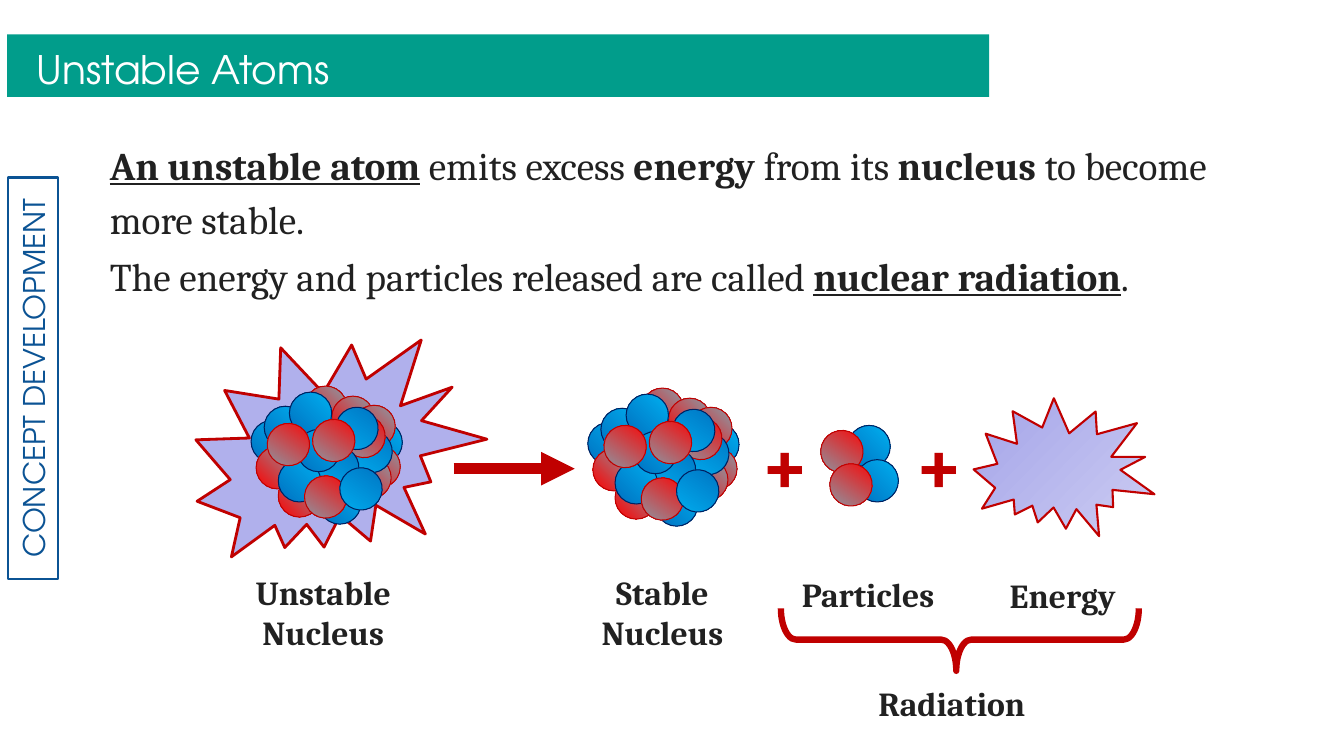
from lxml import etree
from pptx import Presentation
from pptx.dml.color import RGBColor
from pptx.enum.shapes import MSO_CONNECTOR, MSO_SHAPE
from pptx.enum.text import MSO_ANCHOR, MSO_AUTO_SIZE, PP_ALIGN
from pptx.oxml.ns import qn
from pptx.util import Emu, Pt

RECTANGLE, OVAL = MSO_SHAPE.RECTANGLE, MSO_SHAPE.OVAL
BURST, BRACE = MSO_SHAPE.EXPLOSION2, MSO_SHAPE.LEFT_BRACE
STRAIGHT = MSO_CONNECTOR.STRAIGHT
CENTER, LEFT = PP_ALIGN.CENTER, PP_ALIGN.LEFT
TOP, MIDDLE = MSO_ANCHOR.TOP, MSO_ANCHOR.MIDDLE
NO_AUTOSIZE = MSO_AUTO_SIZE.NONE

SERIF, SANS = "Cambria", "TeX Gyre Adventor"
TEAL = RGBColor(0x01, 0x9D, 0x8B)
TAB_BLUE = RGBColor(0x0B, 0x53, 0x94)
INK = RGBColor(0x21, 0x21, 0x21)
WHITE = RGBColor(0xFF, 0xFF, 0xFF)
DARK_RED = RGBColor(0xC0, 0x00, 0x00)
LAVENDER = RGBColor(0xB0, 0xB0, 0xEC)
ENERGY_DEEP = RGBColor(0x9A, 0x9A, 0xE6)
ENERGY_PALE = RGBColor(0xD8, 0xD8, 0xF5)
NAVY = RGBColor(0x00, 0x20, 0x60)

# Gradient start, gradient end and outline of each nucleon
RED = (RGBColor(0xFF, 0x00, 0x00), RGBColor(0x86, 0x9F, 0xAB), DARK_RED)
BLUE = (RGBColor(0x00, 0x70, 0xC0), RGBColor(0x00, 0xB0, 0xF0), NAVY)
NUCLEON_SIZE = 42
TILT = 169.4

# Nucleons from back to front: x, y, kind, rotation
NUCLEUS = [
    (108, 35, BLUE, 0), (106, 59, RED, 0), (53, 0, RED, 0), (67, 95, BLUE, 0),
    (80, 10, RED, 0), (101, 19, RED, 0), (0, 34, BLUE, 0), (13, 20, BLUE, 0),
    (38, 6, BLUE, 0), (5, 60, RED, 0), (27, 88, RED, 0), (97, 70, RED, 0),
    (98, 44, BLUE, TILT), (91, 29, RED, TILT), (84, 21, BLUE, TILT),
    (65, 60, BLUE, TILT), (27, 73, BLUE, 0), (53, 89, RED, TILT),
    (88, 81, BLUE, TILT), (46, 43, BLUE, 0), (16, 37, RED, TILT),
    (61, 33, RED, TILT),
]
PARTICLES = [(27, 0, BLUE, 0), (35, 34, BLUE, 0), (0, 5, RED, TILT), (9, 38, RED, TILT)]

# Body text as (words, bold, underlined)
BODY = [
    [("An unstable atom", True, True), (" ", True, False), ("emits excess ", False, False),
     ("energy", True, False), (" from its ", False, False), ("nucleus", True, False),
     (" to become more stable.", False, False)],
    [("The energy and particles released are called ", False, False),
     ("nuclear radiation", True, True), (".", False, False)],
]

LABELS = [
    ("Unstable Nucleus", 240, 562, 161, 91),
    ("Stable Nucleus", 556, 562, 202, 91),
    ("Particles", 760, 564, 202, 50),
    ("Energy", 953, 565, 202, 50),
    ("Radiation", 843, 673, 202, 50),
]


def px(length):
    return Emu(length * 9144)


def place(shape, left, top, width, height):
    shape.left, shape.top = px(left), px(top)
    shape.width, shape.height = px(width), px(height)


def style_run(run, size, font, color, bold=False, underline=False):
    run.font.size, run.font.name = Pt(size), font
    run.font.color.rgb = color
    run.font.bold, run.font.underline = bold, underline


def set_indent(paragraph, margin, first_line):
    properties = paragraph._p.get_or_add_pPr()
    properties.set("marL", str(px(margin)))
    properties.set("indent", str(px(first_line)))
    etree.SubElement(properties, qn("a:buNone"))


def add_figure(shapes, kind, box, fill=None, line=None, weight=1, rotation=0):
    figure = shapes.add_shape(kind, *map(px, box))
    figure.shadow.inherit = False
    figure.rotation = rotation
    if fill is None:
        figure.fill.background()
    else:
        figure.fill.solid()
        figure.fill.fore_color.rgb = fill
    if line is None:
        figure.line.fill.background()
    else:
        figure.line.color.rgb = line
        figure.line.width = Pt(weight)
    return figure


def shade(figure, start, end, angle):
    figure.fill.gradient()
    figure.fill.gradient_angle = angle
    for stop, color in zip(figure.fill.gradient_stops, (start, end)):
        stop.color.rgb = color


def add_cluster(slide, left, top, nucleons):
    cluster = slide.shapes.add_group_shape()
    for x, y, (start, end, outline), rotation in nucleons:
        box = (left + x, top + y, NUCLEON_SIZE, NUCLEON_SIZE)
        nucleon = add_figure(cluster.shapes, OVAL, box, start, outline, 0.75, rotation)
        shade(nucleon, start, end, 45)


def add_label(slide, words, box, size=24, color=INK):
    label = slide.shapes.add_textbox(*map(px, box))
    label.text_frame.word_wrap = True
    label.text_frame.text = words
    paragraph = label.text_frame.paragraphs[0]
    paragraph.alignment = CENTER
    style_run(paragraph.runs[0], size, SERIF, color, bold=True)


def add_arrow(slide, start, end):
    arrow = slide.shapes.add_connector(STRAIGHT, *map(px, start + end))
    arrow.line.color.rgb = DARK_RED
    arrow.line.width = Pt(8)
    etree.SubElement(arrow.line._get_or_add_ln(), qn("a:tailEnd"), type="triangle")
    etree.SubElement(arrow._element.spPr, qn("a:effectLst"))


def fill_title(slide):
    bar = add_figure(slide.shapes, RECTANGLE, (7, 34, 974, 62), TEAL)
    slide.shapes._spTree.insert(2, bar._element)  # behind the title
    title = slide.shapes.title
    place(title, 14, 39, 961, 51)
    frame = title.text_frame
    frame.text = "Unstable Atoms"
    frame.auto_size, frame.vertical_anchor = NO_AUTOSIZE, MIDDLE
    frame.margin_left = frame.margin_right = px(10)
    frame.margin_top = frame.margin_bottom = px(10)
    heading = frame.paragraphs[0]
    set_indent(heading, 50, -38)
    heading.alignment, heading.line_spacing = LEFT, 1.15
    style_run(heading.runs[0], 28, SANS, WHITE)


def fill_body(slide):
    body = slide.placeholders[1]
    place(body, 99, 128, 1165, 171)
    frame = body.text_frame
    frame.auto_size, frame.vertical_anchor = NO_AUTOSIZE, TOP
    for index, pieces in enumerate(BODY):
        paragraph = frame.add_paragraph() if index else frame.paragraphs[0]
        set_indent(paragraph, 0, 0)
        paragraph.line_spacing = 1.15
        paragraph.space_before = Pt(2 if index else 0)
        for words, bold, underline in pieces:
            run = paragraph.add_run()
            run.text = words
            style_run(run, 28, SERIF, INK, bold, underline)


def add_side_tab(slide):
    tab = add_figure(slide.shapes, RECTANGLE, (-166, 350, 398, 50),
                     line=TAB_BLUE, weight=1.5, rotation=270)
    tab.text_frame.text = "CONCEPT DEVELOPMENT"
    tab.text_frame.vertical_anchor = MIDDLE
    paragraph = tab.text_frame.paragraphs[0]
    paragraph.alignment = CENTER
    style_run(paragraph.runs[0], 21.3, SANS, TAB_BLUE)


def main():
    prs = Presentation()
    prs.slide_width, prs.slide_height = px(1333), px(750)
    slide = prs.slides.add_slide(prs.slide_layouts[1])

    fill_title(slide)
    fill_body(slide)
    add_side_tab(slide)

    # Unstable nucleus turning into a stable one
    add_figure(slide.shapes, BURST, (196, 320, 279, 256), LAVENDER, DARK_RED, 2, 14.7)
    add_cluster(slide, 249, 383, NUCLEUS)
    add_arrow(slide, (450, 465), (570, 465))
    add_cluster(slide, 583, 385, NUCLEUS)

    # Emitted particles and energy
    for plus_left in (744, 897):
        add_label(slide, "+", (plus_left, 402, 61, 94), 60, DARK_RED)
    add_cluster(slide, 814, 422, PARTICLES)
    energy = add_figure(slide.shapes, BURST, (971, 388, 172, 157),
                        ENERGY_DEEP, DARK_RED, 1.5, 34.5)
    shade(energy, ENERGY_DEEP, ENERGY_PALE, 350)

    # Captions and the brace joining the radiation
    for words, *box in LABELS:
        add_label(slide, words, box)
    brace = add_figure(slide.shapes, BRACE, (921, 457, 62, 355),
                       line=DARK_RED, weight=4.5, rotation=270)
    brace.adjustments[0], brace.adjustments[1] = 0.24, 0.49

    prs.save("out.pptx")


if __name__ == "__main__":
    main()
